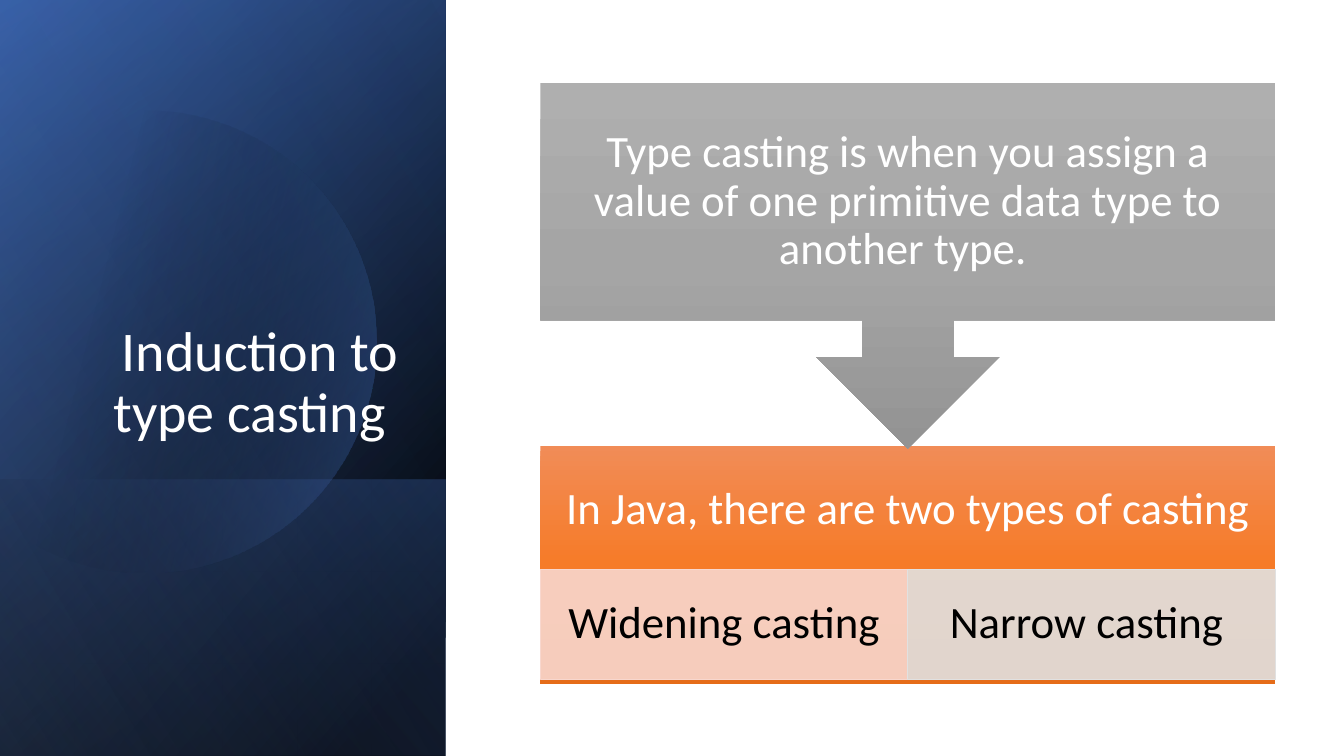
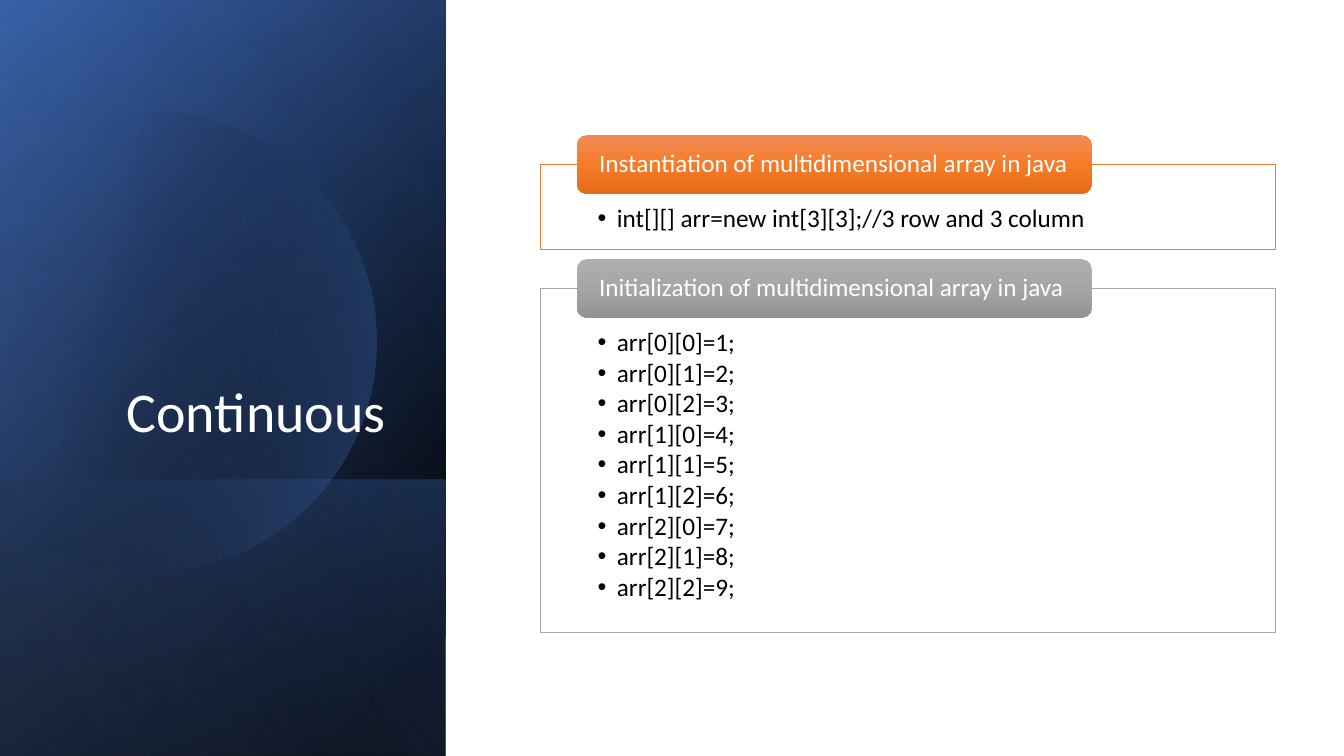
from dataclasses import dataclass
from itertools import product
from math import acos, cos, pi, sin

from lxml.etree import SubElement
from pptx import Presentation
from pptx.dml.color import RGBColor
from pptx.enum.shapes import MSO_SHAPE
from pptx.enum.text import MSO_ANCHOR, MSO_AUTO_SIZE, PP_ALIGN
from pptx.oxml.ns import qn
from pptx.util import Inches, Pt


@dataclass(frozen=True)
class Theme:
    font: str = "Calibri"
    title_size: int = 40
    diagram_size: int = 32
    list_size: int = 18
    white: str = "FFFFFF"
    black: str = "000000"
    blue: str = "4472C4"
    deep_blue: str = "2F5597"
    pale_blue: str = "8FAADC"
    orange: str = "ED7D31"
    gray: str = "A5A5A5"
    peach: str = "F8D7CE"
    silver: str = "E1E1E1"
    # Gradient stops: position, colour, opacity (all in percent)
    orange_blend: tuple = ((0, "F18C57", 100), (50, "F67B28", 100), (100, "E56C19", 100))
    gray_blend: tuple = ((0, "AFAFAF", 100), (50, "A5A5A5", 100), (100, "939393", 100))


THEME = Theme()

# Shared layout, in percent of the slide's width and height
PANEL_WIDTH = 33.15
CONTENT_LEFT, CONTENT_WIDTH = 40.2, 54.7
TITLE_BOX = (4.8, 24.53, 25.58, 34.93)
TAB_HEIGHT = 7.73


def set_opacity(color_element, percent):
    SubElement(color_element, qn("a:alpha")).set("val", str(percent * 1000))


class SlideBuilder:
    """Holds the deck, its theme and the page being drawn."""

    def __init__(self, theme):
        self.theme = theme
        self.deck = Presentation()
        self.deck.slide_width, self.deck.slide_height = Inches(13.333), Inches(7.5)
        self.page = None

    def x(self, share):
        return round(self.deck.slide_width * share / 100)

    def y(self, share):
        return round(self.deck.slide_height * share / 100)

    def area(self, left, top, width, height):
        return self.x(left), self.y(top), self.x(width), self.y(height)

    # Pages and their shared side panel
    def new_page(self, title):
        self.page = self.deck.slides.add_slide(self.deck.slide_layouts[5])
        self.side_panel()
        self.title(title)

    def side_panel(self):
        theme = self.theme
        self.panel(0, [(8, theme.black, 100), (100, theme.deep_blue, 100)], 50)
        self.panel(0, [(0, theme.black, 0), (99, theme.blue, 46)], 30)
        self.panel(63.47, [(2, theme.blue, 29), (100, theme.black, 30)], 130)
        self.disc(10.8, 45.2, 30.53)
        self.panel(0, [(0, theme.black, 0), (99, theme.pale_blue, 11)], 120)

    def panel(self, top, stops, angle):
        """A mirrored quarter-turn rectangle from top to the slide's foot."""
        left, upper, width, height = self.area(0, top, PANEL_WIDTH, 100 - top)
        shift = (width - height) // 2
        shape = self.page.shapes.add_shape(
            MSO_SHAPE.RECTANGLE, left + shift, upper - shift, height, width)
        shape.rotation = 90
        shape.element.spPr.xfrm.set("flipH", "1")
        self.plain(shape)
        self.blend(shape, stops, angle)

    def disc(self, center_x, center_y, radius, steps=90):
        """A disc cut off by the slide's left edge."""
        middle_x, middle_y, size = self.x(center_x), self.y(center_y), self.y(radius)
        limit = pi - acos(middle_x / size)
        angles = [limit * (2 * step / steps - 1) for step in range(steps + 1)]
        points = [(round(middle_x + size * cos(angle)), round(middle_y + size * sin(angle)))
                  for angle in angles]
        outline = self.page.shapes.build_freeform(*points[0])
        outline.add_line_segments(points[1:], close=True)
        shape = outline.convert_to_shape()
        self.plain(shape)
        self.blend(shape, [(29, self.theme.black, 0), (100, self.theme.blue, 43)], 14)

    def title(self, text):
        box = self.page.shapes.title
        box.left, box.top, box.width, box.height = self.area(*TITLE_BOX)
        self.page.shapes.element.append(box.element)  # bring above the panel
        self.set_text(box, [text], self.theme.title_size, self.theme.white,
                      align=PP_ALIGN.RIGHT, anchor=MSO_ANCHOR.BOTTOM)

    # Fills and outlines
    def plain(self, shape):
        shape.shadow.inherit = False
        shape.line.fill.background()

    def blend(self, shape, stops, angle=90):
        shape.fill.gradient()
        shape.fill.gradient_angle = 360 - angle
        stop_list = shape.element.spPr.find(qn("a:gradFill")).find(qn("a:gsLst"))
        for old_stop in list(stop_list):
            stop_list.remove(old_stop)
        for position, color, opacity in stops:
            stop = SubElement(stop_list, qn("a:gs"))
            stop.set("pos", str(position * 1000))
            value = SubElement(stop, qn("a:srgbClr"))
            value.set("val", color)
            if opacity < 100:
                set_opacity(value, opacity)

    def block(self, kind, area, fill, outline=None, opacity=100):
        """A preset shape with a gradient (tuple) or one colour (text)."""
        shape = self.page.shapes.add_shape(kind, *self.area(*area))
        self.plain(shape)
        if isinstance(fill, tuple):
            self.blend(shape, fill)
        else:
            shape.fill.solid()
            shape.fill.fore_color.rgb = RGBColor.from_string(fill)
            if opacity < 100:
                color = shape.element.spPr.find(qn("a:solidFill")).find(qn("a:srgbClr"))
                set_opacity(color, opacity)
        if outline:
            shape.line.color.rgb = RGBColor.from_string(outline)
            shape.line.width = Pt(0.5)
        return shape

    # Text
    def set_text(self, shape, lines, size, color, align=PP_ALIGN.CENTER,
                 anchor=MSO_ANCHOR.MIDDLE, insets=(0.1, 0.05, 0.1, 0.05), bullets=False):
        frame = shape.text_frame
        frame.text = "\n".join(lines)
        frame.word_wrap = True
        frame.auto_size = MSO_AUTO_SIZE.NONE
        frame.vertical_anchor = anchor
        (frame.margin_left, frame.margin_top,
         frame.margin_right, frame.margin_bottom) = map(Inches, insets)
        for para in frame.paragraphs:
            para.alignment = align
            para.line_spacing = 0.9
            if bullets:
                para.space_after = Pt(2.4)
                self.bullet(para)
            for span in para.runs:
                span.font.name = self.theme.font
                span.font.size = Pt(size)
                span.font.color.rgb = RGBColor.from_string(color)

    def bullet(self, para):
        properties = para._p.get_or_add_pPr()
        indent = Inches(0.19)
        properties.set("marL", str(indent))
        properties.set("indent", str(-indent))
        SubElement(properties, qn("a:buFont")).set("typeface", "Arial")
        SubElement(properties, qn("a:buChar")).set("char", "•")

    # Diagram parts
    def callout(self, top, height, text):
        area = (CONTENT_LEFT, top, CONTENT_WIDTH, height)
        shape = self.block(MSO_SHAPE.DOWN_ARROW_CALLOUT, area, self.theme.gray_blend)
        self.set_text(shape, [text], self.theme.diagram_size, self.theme.white,
                      insets=(0.25,) * 4)

    def split_box(self, top, height, heading, cells):
        """A headed box with equal cells along its lower part."""
        area = (CONTENT_LEFT, top, CONTENT_WIDTH, height)
        shape = self.block(MSO_SHAPE.RECTANGLE, area, self.theme.orange_blend)
        self.set_text(shape, [heading], self.theme.diagram_size, self.theme.white,
                      insets=(0.25, 0.25, 0.25, 1.33))
        cell_width = CONTENT_WIDTH / len(cells)
        for column, (text, color) in enumerate(cells):
            area = (CONTENT_LEFT + column * cell_width, top + 16.4, cell_width, 14.5)
            cell = self.block(MSO_SHAPE.RECTANGLE, area, color, color, opacity=90)
            self.set_text(cell, [text], self.theme.diagram_size, self.theme.black,
                          insets=(0.25, 0.04, 0.25, 0.04))

    def tabbed_list(self, top, height, heading, lines, color, blend):
        """An outlined list with a tab centred on its upper edge."""
        area = (CONTENT_LEFT, top, CONTENT_WIDTH, height)
        frame = self.block(MSO_SHAPE.RECTANGLE, area, self.theme.white, color)
        self.set_text(frame, lines, self.theme.list_size, self.theme.black,
                      PP_ALIGN.LEFT, MSO_ANCHOR.TOP, (0.57, 0.41, 0.57, 0.14), bullets=True)
        area = (CONTENT_LEFT + CONTENT_WIDTH * 0.05, top - TAB_HEIGHT / 2,
                CONTENT_WIDTH * 0.7, TAB_HEIGHT)
        tab = self.block(MSO_SHAPE.ROUNDED_RECTANGLE, area, blend)
        self.set_text(tab, [heading], self.theme.list_size, self.theme.white,
                      PP_ALIGN.LEFT, insets=(0.19, 0, 0.19, 0))


def main():
    builder = SlideBuilder(THEME)

    # What type casting is
    builder.new_page("Induction to type casting ")
    builder.split_box(58.95, 31.5, "In Java, there are two types of casting ",
                      [("Widening casting ", THEME.peach), ("Narrow casting ", THEME.silver)])
    builder.callout(10.95, 48.4, "Type casting is when you assign a value of one "
                                 "primitive data type to another type. ")

    # Multidimensional arrays
    builder.new_page("Continuous ")
    assignments = [f"arr[{row}][{column}]={3 * row + column + 1};"
                   for row, column in product(range(3), repeat=2)]
    sections = [
        ("Instantiation", ["int[][] arr=new int[3][3];//3 row and 3 column"],
         11.2, THEME.orange, THEME.orange_blend),
        ("Initialization", assignments, 45.45, THEME.gray, THEME.gray_blend),
    ]
    top = 21.75
    for name, lines, height, color, blend in sections:
        builder.tabbed_list(top, height, f"{name} of multidimensional array in java",
                            lines, color, blend)
        top += height + 5.2

    builder.deck.save("out.pptx")


if __name__ == "__main__":
    main()
